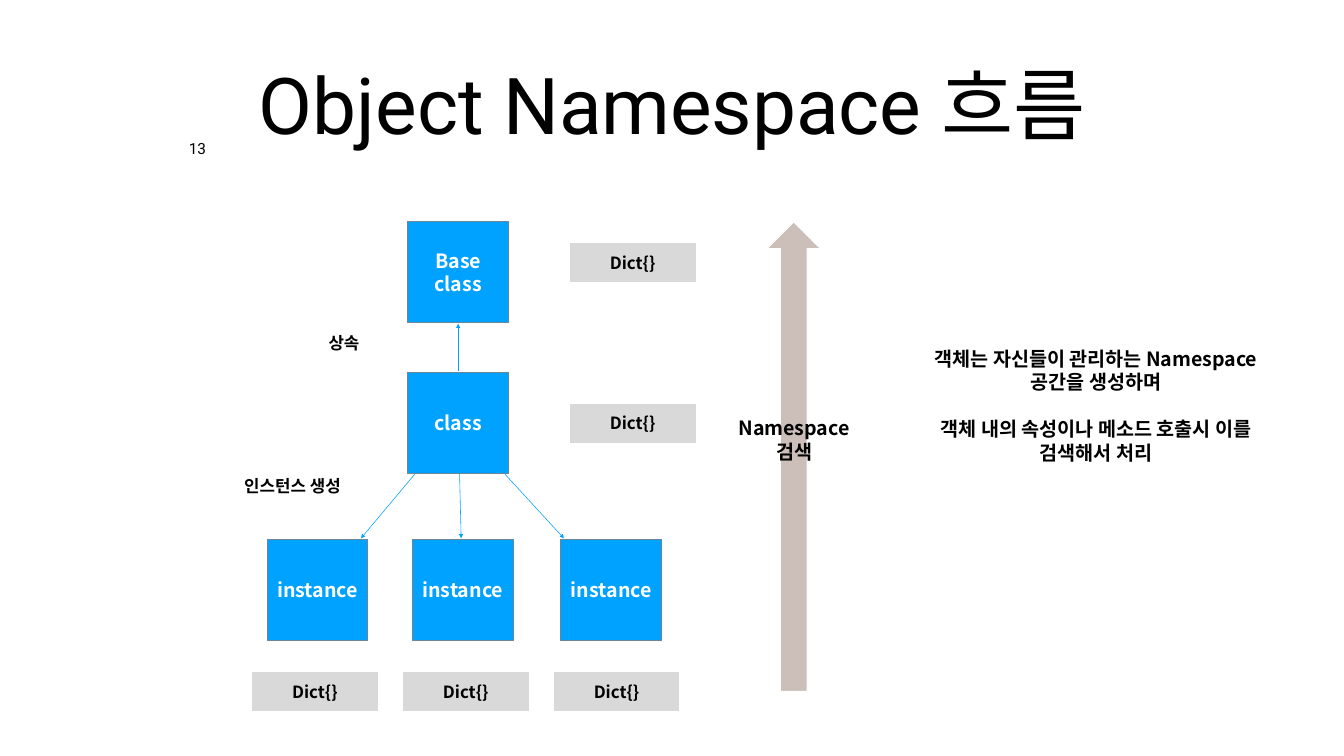
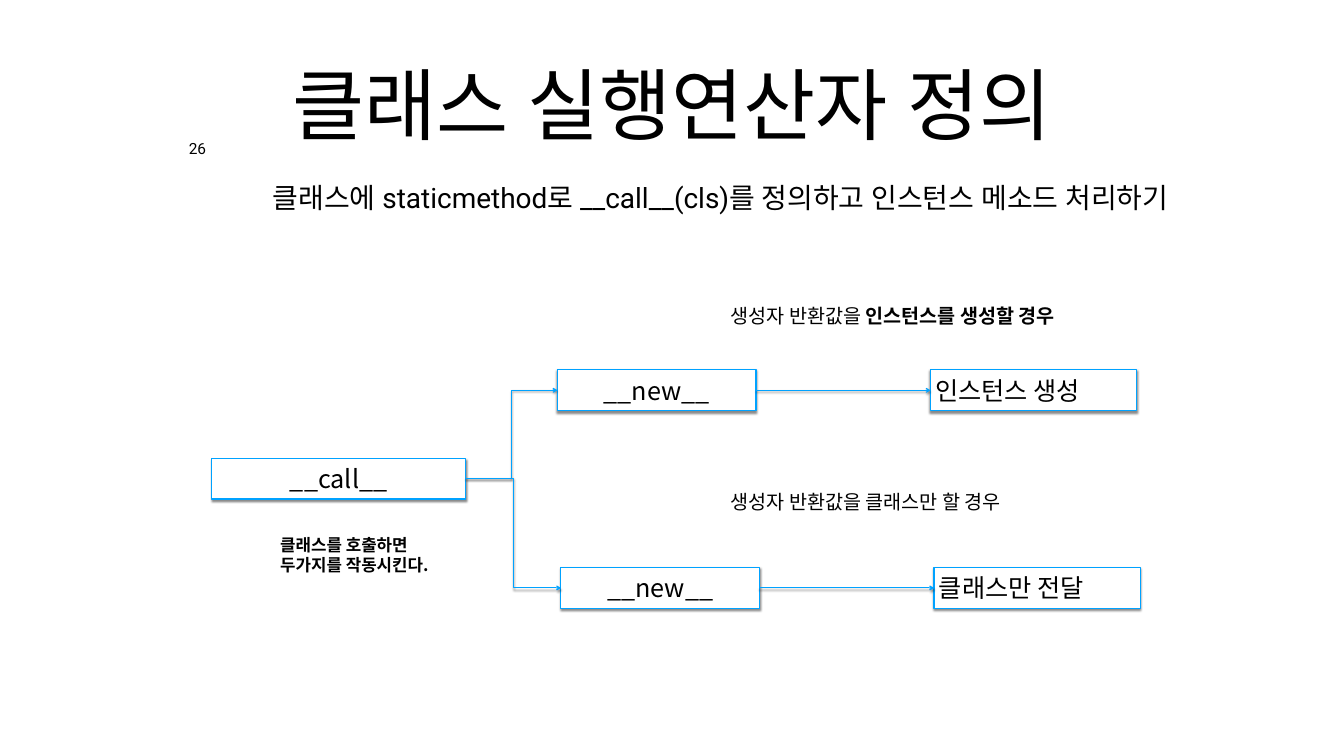
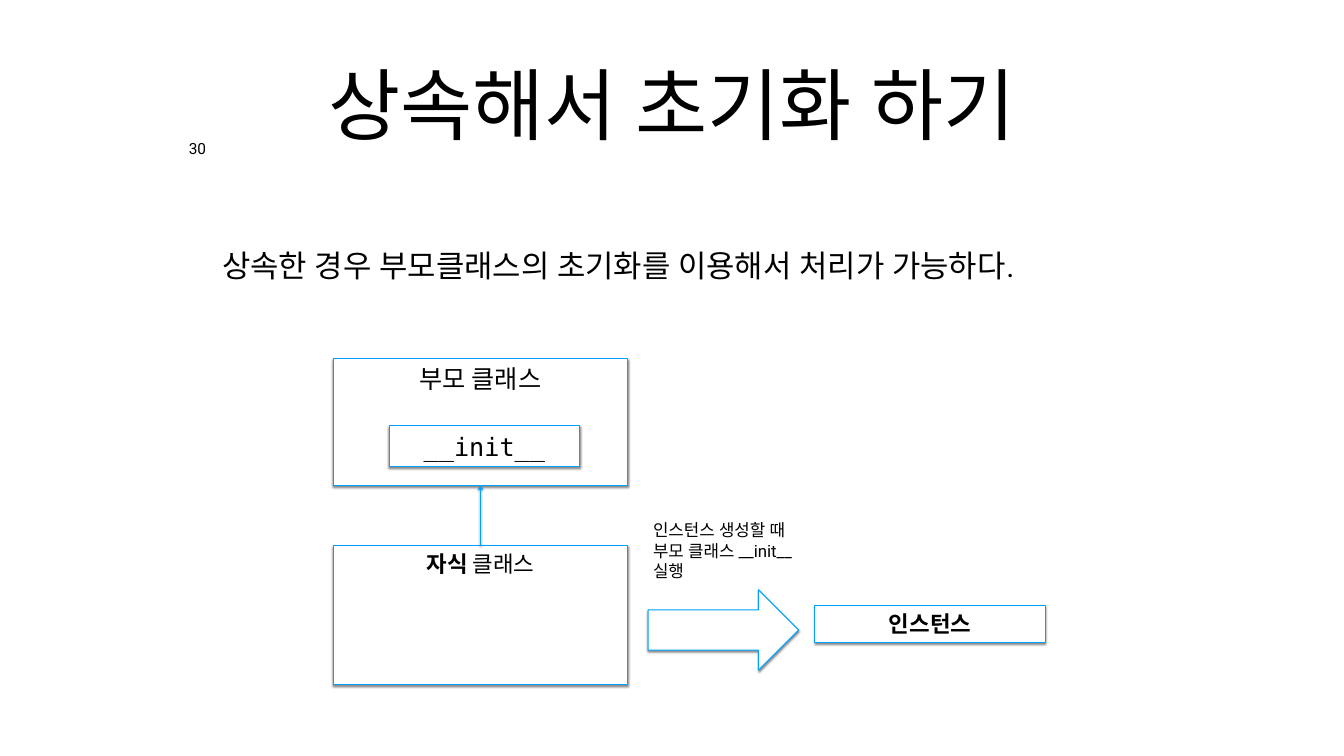
"""Build three slides on Python namespaces, class calls and inheritance."""
from dataclasses import dataclass, replace
from typing import Optional

from lxml import etree
from pptx import Presentation
from pptx import util as u
from pptx.dml.color import RGBColor
from pptx.enum import shapes, text
from pptx.oxml import ns

COLORS = {"blue": "00A2FF", "slate": "6C8599", "gray": "D9D9D9",
          "taupe": "CCBEB8", "white": "FFFFFF", "black": "000000"}
NOTO, ROBOTO, MONO = "Noto Sans CJK KR", "Roboto", "DejaVu Sans Mono"
LEFT, CENTER = text.PP_ALIGN.LEFT, text.PP_ALIGN.CENTER
TOP, MIDDLE = text.MSO_ANCHOR.TOP, text.MSO_ANCHOR.MIDDLE
RECTANGLE = shapes.MSO_SHAPE.RECTANGLE
RIGHT_ARROW = shapes.MSO_SHAPE.RIGHT_ARROW
STRAIGHT, ELBOW = shapes.MSO_CONNECTOR.STRAIGHT, shapes.MSO_CONNECTOR.ELBOW
TOP_SITE, LEFT_SITE, BOTTOM_SITE, RIGHT_SITE = range(4)


@dataclass(frozen=True)
class TextStyle:
    """Type, alignment and margins (cm) of a text."""
    size: float
    font: str = NOTO
    bold: bool = False
    color: str = "black"
    align: text.PP_ALIGN = CENTER
    anchor: text.MSO_ANCHOR = MIDDLE
    margins: tuple[float, float] = (0.25, 0.25)
    gap: float = 0
    indent: float = 0


@dataclass(frozen=True)
class Look:
    """Fill, outline and shadow of a shape."""
    fill: str
    line: str
    shadow: bool = False


@dataclass(frozen=True)
class Item:
    """A text or shape with its place in cm; emphasis is the bold part."""
    left: float
    top: float
    width: float
    height: float
    text: str
    style: TextStyle
    look: Optional[Look] = None
    emphasis: str = ""
    kind: shapes.MSO_SHAPE = RECTANGLE
    rotation: float = 0


TITLE = TextStyle(112, ROBOTO, margins=(0.2, 0.2))
NUMBER = TextStyle(22, ROBOTO, anchor=TOP, margins=(0.2, 0.2))
BODY = TextStyle(40, ROBOTO, align=LEFT, anchor=TOP, margins=(0.2, 0.2))
NODE = TextStyle(28, bold=True, color="white")
DICT = TextStyle(24, bold=True)
CAPTION = TextStyle(24, bold=True, anchor=TOP, margins=(0.25, 0.13))
REMARK = replace(CAPTION, size=28, gap=33.5)
NOTE = TextStyle(28, align=LEFT, anchor=TOP)
STEP = TextStyle(36)

NODE_LOOK = Look("blue", "slate")
DICT_LOOK = Look("gray", "white")
ARROW_LOOK = Look("taupe", "white")
STEP_LOOK = Look("white", "blue", True)


def rgb(name: str) -> RGBColor:
    """Return the named colour."""
    return RGBColor.from_string(COLORS[name])


def write(frame, content: str, style: TextStyle, emphasis: str = "") -> None:
    """Fill a text frame and format its runs."""
    frame.word_wrap = True
    frame.auto_size = text.MSO_AUTO_SIZE.NONE
    frame.vertical_anchor = style.anchor
    frame.margin_left = frame.margin_right = u.Cm(style.margins[0])
    frame.margin_top = frame.margin_bottom = u.Cm(style.margins[1])
    frame.text = content
    for index, paragraph in enumerate(frame.paragraphs):
        paragraph.alignment = style.align
        paragraph.space_before = u.Pt(style.gap if index else 0)
        if style.indent:
            paragraph._p.get_or_add_pPr().set("indent", str(u.Cm(style.indent)))
        if emphasis and emphasis in paragraph.text:
            before, strong, after = paragraph.text.partition(emphasis)
            paragraph.clear()
            for part in filter(None, (before, strong, after)):
                paragraph.add_run().text = part
        for run in paragraph.runs:
            font = run.font
            font.size, font.name = u.Pt(style.size), style.font
            font.bold = style.bold or run.text == emphasis
            font.color.rgb = rgb(style.color)
            east_asian = etree.SubElement(font._element, ns.qn("a:ea"))
            east_asian.set("typeface", style.font)


def set_shadow(shape, visible: bool) -> None:
    """Give a shape or connector a soft lower shadow, or none."""
    effects = etree.SubElement(shape._element.spPr, ns.qn("a:effectLst"))
    if visible:
        shadow = etree.SubElement(effects, ns.qn("a:outerShdw"), {
            "blurRad": str(u.Pt(3)), "dist": str(u.Pt(2.4)),
            "dir": "5400000", "rotWithShape": "0"})
        color = etree.SubElement(shadow, ns.qn("a:srgbClr"), val=COLORS["black"])
        etree.SubElement(color, ns.qn("a:alpha"), val="45000")


def draw(slide, item: Item):
    """Draw a shape, or a text box where the item has no look."""
    place = [u.Cm(n) for n in (item.left, item.top, item.width, item.height)]
    if item.look is None:
        shape = slide.shapes.add_textbox(*place)
    else:
        shape = slide.shapes.add_shape(item.kind, *place)
        shape.rotation = item.rotation
        shape.fill.solid()
        shape.fill.fore_color.rgb = rgb(item.look.fill)
        shape.line.color.rgb = rgb(item.look.line)
        shape.line.width = u.Pt(1.5)
        if item.look.shadow:
            set_shadow(shape, True)
        else:
            shape.shadow.inherit = False
    if item.text:
        write(shape.text_frame, item.text, item.style, item.emphasis)
    return shape


def draw_arrow(slide, points: tuple[float, ...], width: float = 0.79,
               head: str = "triangle", shadow: bool = False, kind=STRAIGHT):
    """Draw a blue arrow between two points in cm."""
    connector = slide.shapes.add_connector(kind, *[u.Cm(n) for n in points])
    connector.line.color.rgb = rgb("blue")
    connector.line.width = u.Pt(width)
    etree.SubElement(connector.line._get_or_add_ln(), ns.qn("a:tailEnd"), type=head)
    set_shadow(connector, shadow)
    return connector


def link(slide, source, target, kind=STRAIGHT, source_site: int = RIGHT_SITE,
         target_site: int = LEFT_SITE) -> None:
    """Join two shapes with a shadowed arrow."""
    connector = draw_arrow(slide, (0, 0, 1, 1), 1.5, "arrow", True, kind)
    connector.begin_connect(source, source_site)
    connector.end_connect(target, target_site)


def add_slide(presentation, title: str, number: int):
    """Add a slide with its title and number."""
    slide = presentation.slides.add_slide(presentation.slide_layouts[5])
    shape = slide.shapes.title
    shape.left, shape.top = u.Cm(12.19), u.Cm(0.99)
    shape.width, shape.height = u.Cm(43.36), u.Cm(8.43)
    write(shape.text_frame, title, TITLE)
    label = draw(slide, Item(9.32, 6.99, 1.27, 1.14, str(number), NUMBER))
    label.text_frame.word_wrap = False
    label.text_frame.paragraphs[0].line_spacing = 0.8
    return slide


def build_namespace(presentation) -> None:
    """Show how names are searched from instance to base class."""
    slide = add_slide(presentation, "Object Namespace 흐름", 13)
    nodes = [(20.55, 11.18, "Base class"), (20.55, 18.77, "class")]
    nodes += [(left, 27.18, "instance") for left in (13.46, 20.78, 28.27)]
    for left, top, name in nodes:
        draw(slide, Item(left, top, 5.08, 5.08, name, NODE, NODE_LOOK))
    draw_arrow(slide, (23.09, 18.72, 23.09, 16.31))
    for start, end in ((20.9, 18.19), (23.16, 23.24), (25.45, 28.42)):
        draw_arrow(slide, (start, 23.9, end, 27.13))
    dicts = [(28.68, 12.24), (28.68, 20.32)]
    dicts += [(12.67 + 7.6 * column, 33.86) for column in range(3)]
    for left, top in dicts:
        draw(slide, Item(left, top, 6.4, 2.01, "Dict{}", DICT, DICT_LOOK))
    for item in (
        Item(15.19, 16.66, 4.29, 1.27, "상속", CAPTION),
        Item(11.07, 23.85, 7.34, 1.27, "인스턴스 생성", CAPTION),
        Item(28.17, 21.67, 23.67, 2.69, "", DICT, ARROW_LOOK,
             kind=RIGHT_ARROW, rotation=270),
        Item(36.22, 20.85, 7.59, 2.64, "Namespace\n검색", replace(REMARK, gap=0)),
        Item(45.82, 17.35, 18.82, 6.25,
             "객체는 자신들이 관리하는 Namespace 공간을 생성하며\n"
             "객체 내의 속성이나 메소드 호출시 이를 검색해서 처리", REMARK),
    ):
        draw(slide, item)


def build_call(presentation) -> None:
    """Show the two outcomes of calling a class."""
    slide = add_slide(presentation, "클래스 실행연산자 정의", 26)
    draw(slide, Item(11, 8.89, 52.37, 6.96,
                     "클래스에 staticmethod로 __call__(cls)를 정의하고 인스턴스 메소드 처리하기",
                     replace(BODY, indent=2.54)))
    call = draw(slide, Item(10.67, 23.09, 12.8, 2.06, "__call__", STEP, STEP_LOOK))
    for left, top, outcome in ((28.09, 18.64, "인스턴스 생성"),
                               (28.27, 28.6, "클래스만 전달")):
        new = draw(slide, Item(left, top, 10.01, 2.06, "__new__", STEP, STEP_LOOK))
        result = draw(slide, Item(left + 18.8, top, 10.39, 2.06, outcome,
                                  replace(STEP, align=LEFT), STEP_LOOK))
        link(slide, new, result)
        link(slide, call, new, ELBOW)
    for item in (
        Item(36.58, 15.06, 20.88, 1.7, "생성자 반환값을 인스턴스를 생성할 경우", NOTE,
             emphasis="인스턴스를 생성할 경우"),
        Item(36.58, 24.43, 17.3, 1.7, "생성자 반환값을 클래스만 할 경우", NOTE),
        Item(13.87, 26.7, 8.79, 2.57, "클래스를 호출하면 두가지를 작동시킨다.",
             replace(NOTE, size=24, bold=True)),
    ):
        draw(slide, item)


def build_inheritance(presentation) -> None:
    """Show a child class using its parent's initialiser."""
    slide = add_slide(presentation, "상속해서 초기화 하기", 30)
    draw(slide, Item(11, 8.89, 45.72, 8.97,
                     "상속한 경우 부모클래스의 초기화를 이용해서 처리가 가능하다.",
                     replace(BODY, size=44, anchor=MIDDLE)))
    parent = draw(slide, Item(16.81, 18.08, 14.81, 6.38, "부모 클래스",
                              replace(STEP, anchor=TOP), STEP_LOOK))
    child = draw(slide, Item(16.81, 27.48, 14.81, 7.01, "자식 클래스",
                             replace(STEP, size=32, anchor=TOP), STEP_LOOK,
                             emphasis="자식"))
    link(slide, child, parent, source_site=TOP_SITE, target_site=BOTTOM_SITE)
    for item in (
        Item(19.61, 21.46, 9.6, 2.06, "__init__", replace(STEP, font=MONO), STEP_LOOK),
        Item(41.07, 30.51, 11.61, 1.88, "인스턴스",
             TextStyle(32, ROBOTO, bold=True), STEP_LOOK),
        Item(32.66, 29.72, 7.59, 4.06, "", STEP, STEP_LOOK, kind=RIGHT_ARROW),
        Item(32.66, 25.96, 8.41, 3.58, "인스턴스 생성할 때 부모 클래스 __init__ 실행",
             replace(NOTE, size=24, font=ROBOTO)),
    ):
        draw(slide, item)


def main() -> None:
    """Build and save the presentation."""
    presentation = Presentation()
    presentation.slide_width, presentation.slide_height = u.Cm(67.73), u.Cm(38.1)
    for build in (build_namespace, build_call, build_inheritance):
        build(presentation)
    presentation.save("out.pptx")


if __name__ == "__main__":
    main()
